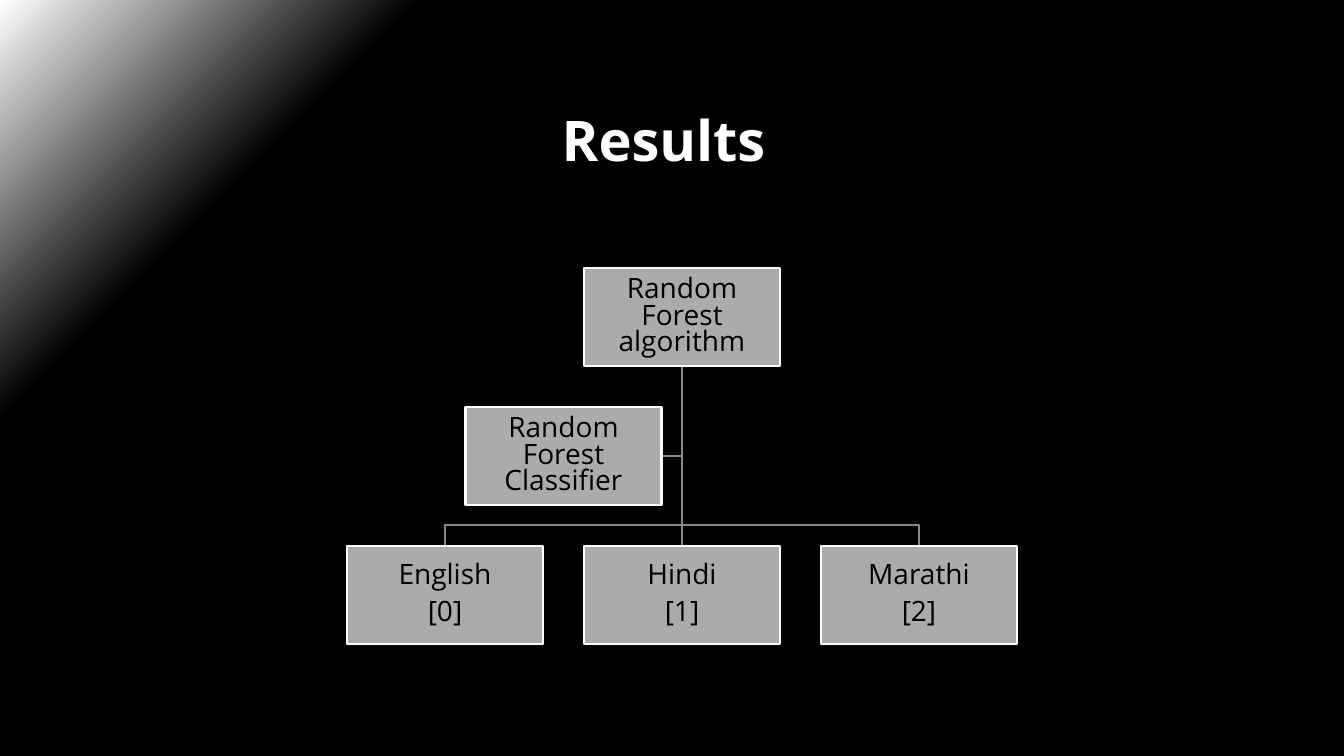
from pptx import Presentation
from pptx.dml.color import RGBColor
from pptx.enum.shapes import MSO_SHAPE
from pptx.enum.text import MSO_ANCHOR, PP_ALIGN
from pptx.util import Pt

RECT = MSO_SHAPE.RECTANGLE
MIDDLE = MSO_ANCHOR.MIDDLE
CENTER = PP_ALIGN.CENTER

TITLE = "Results"
ROOT = ["Random Forest algorithm"]
SIDE = ["Random Forest Classifier"]
LEAVES = [["English", "[0]"], ["Hindi", "[1]"], ["Marathi", "[2]"]]

FONT = "Open Sans"
WHITE, BLACK, BOX, LINK = "FFFFFF", "000000", "ABABAB", "898989"
SCALE = 914400 / 100.8
WIDE, HIGH = 196, 98
LEFT, TOP = 347, 268
COL, ROW = 237, 139
DROP = 21


def px(n):
    return round(n * SCALE)


def color(code):
    return RGBColor.from_string(code)


def write(para, text, size, code, bold=False):
    para.alignment = CENTER
    run = para.add_run()
    run.text = text
    font = run.font
    font.name, font.size, font.bold = FONT, Pt(size), bold
    font.color.rgb = color(code)


def link(slide, points):
    path = slide.shapes.build_freeform(*points[0], scale=SCALE)
    path.add_line_segments(points[1:], close=False)
    shape = path.convert_to_shape()
    shape.shadow.inherit = False
    shape.fill.background()
    shape.line.color.rgb = color(LINK)
    shape.line.width = Pt(2)


def box(slide, x, y, lines):
    shape = slide.shapes.add_shape(RECT, px(x), px(y), px(WIDE), px(HIGH))
    shape.shadow.inherit = False
    shape.fill.solid()
    shape.fill.fore_color.rgb = color(BOX)
    shape.line.color.rgb = color(WHITE)
    shape.line.width = Pt(2)
    frame = shape.text_frame
    frame.word_wrap = True
    frame.vertical_anchor = MIDDLE
    frame.margin_left = frame.margin_right = px(1)
    frame.margin_top = frame.margin_bottom = px(1)
    for i, text in enumerate(lines):
        para = frame.add_paragraph() if i else frame.paragraphs[0]
        para.line_spacing = 0.8
        para.space_after = Pt(7)
        write(para, text, 20, BLACK)


def main():
    deck = Presentation()
    deck.slide_width, deck.slide_height = px(1344), px(756)
    slide = deck.slides.add_slide(deck.slide_layouts[5])

    fill = slide.background.fill
    fill.gradient()
    fill.gradient_angle = 315
    for stop, (place, code) in zip(fill.gradient_stops, [(0, WHITE), (0.2, BLACK)]):
        stop.position = place
        stop.color.rgb = color(code)

    title = slide.shapes.title
    title.left, title.top = px(52), px(100)
    title.width, title.height = px(1223), px(78)
    title.text_frame.vertical_anchor = MIDDLE
    write(title.text_frame.paragraphs[0], TITLE, 40, WHITE, True)

    mid = LEFT + COL
    trunk = mid + WIDE / 2
    start = TOP + HIGH
    side_x, side_y = mid - COL / 2, TOP + ROW
    leaf_y = TOP + 2 * ROW
    bus = leaf_y - DROP
    arm = side_y + HIGH / 2

    link(slide, [(trunk, start), (trunk, arm), (side_x + WIDE, arm)])
    for i in range(len(LEAVES)):
        x = LEFT + i * COL + WIDE / 2
        bend = [(trunk, bus), (x, bus)] if x != trunk else []
        link(slide, [(trunk, start), *bend, (x, leaf_y)])

    box(slide, mid, TOP, ROOT)
    for i, leaf in enumerate(LEAVES):
        box(slide, LEFT + i * COL, leaf_y, leaf)
    box(slide, side_x, side_y, SIDE)

    deck.save("out.pptx")


if __name__ == "__main__":
    main()
